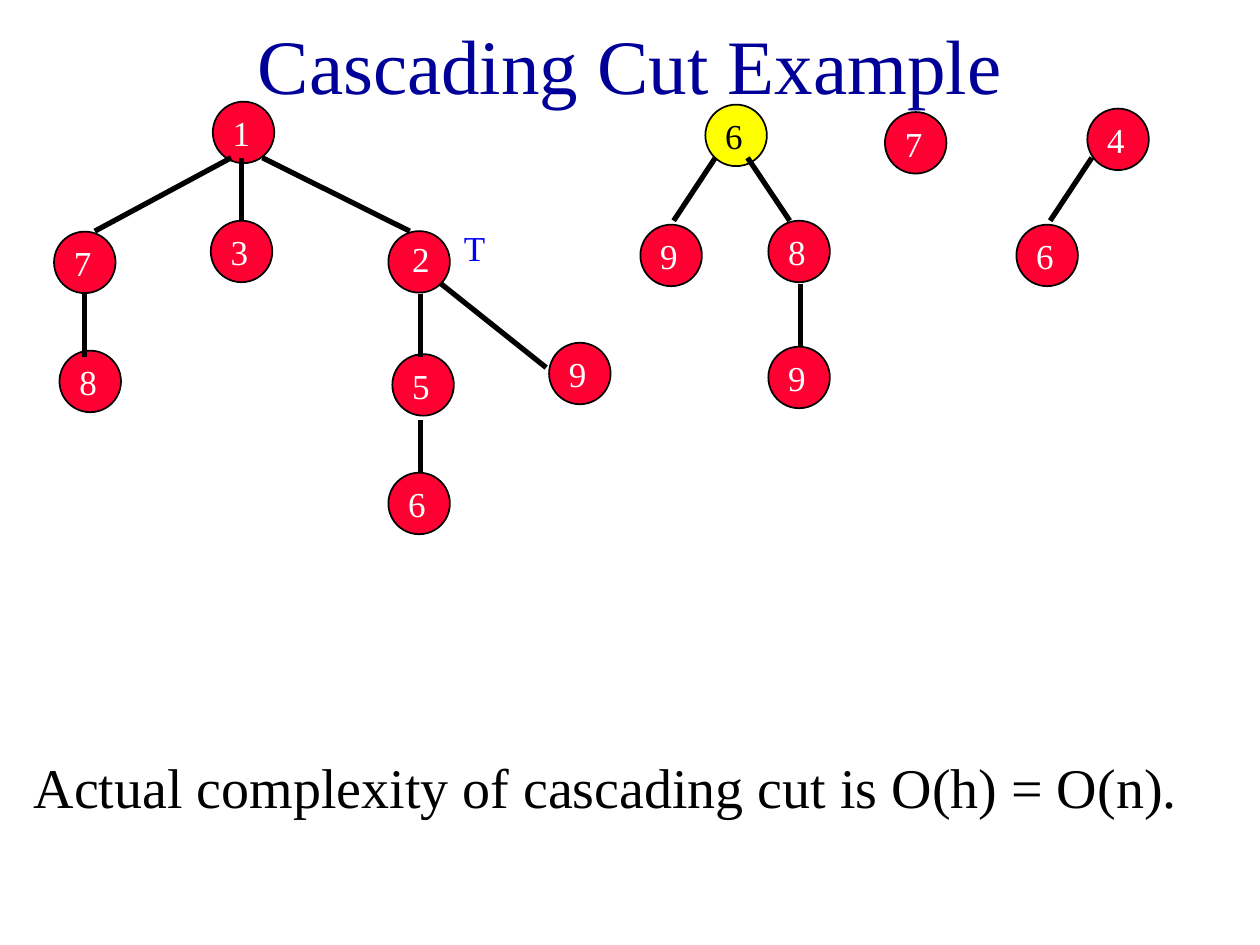
"""Build the slide with the heap trees of the cascading cut example."""
from dataclasses import dataclass

from lxml.etree import SubElement
from pptx import Presentation
from pptx.dml.color import RGBColor
from pptx.enum.shapes import MSO_CONNECTOR, MSO_SHAPE
from pptx.enum.text import MSO_ANCHOR, MSO_AUTO_SIZE, PP_ALIGN
from pptx.oxml.ns import qn
from pptx.shapes.autoshape import Shape
from pptx.slide import Slide
from pptx.text.text import TextFrame
from pptx.util import Cm, Pt

NAVY = RGBColor(0x00, 0x00, 0x99)
BLUE = RGBColor(0x00, 0x00, 0xFF)
RED = RGBColor(0xFF, 0x00, 0x33)
YELLOW = RGBColor(0xFF, 0xFF, 0x00)
BLACK = RGBColor(0x00, 0x00, 0x00)
WHITE = RGBColor(0xFF, 0xFF, 0xFF)
FONT = "Times New Roman"
NODE_DIAMETER = 1.24


@dataclass(frozen=True)
class Node:
    """A heap node with its key; lengths are in centimetres."""
    key: str
    left: float
    top: float
    fill: RGBColor = RED
    color: RGBColor = WHITE
    key_dx: float = 0.15
    key_dy: float = 0.08


@dataclass(frozen=True)
class Edge:
    """A link from parent to child; lengths are in centimetres."""
    x1: float
    y1: float
    x2: float
    y2: float


NODES = (
    Node("1", 4.29, 2.05),
    Node("7", 1.09, 4.67),
    Node("3", 4.25, 4.45),
    Node("8", 1.2, 7.07),
    Node("2", 7.83, 4.66, key_dx=0.23, key_dy=0),
    Node("5", 7.91, 7.14),
    Node("9", 11.07, 6.91),
    Node("6", 7.83, 9.53),
    Node("4", 21.92, 2.19),
    Node("6", 20.49, 4.53),
    Node("7", 17.84, 2.26),
    Node("6", 14.22, 2.11, YELLOW, BLACK),
    Node("9", 12.91, 4.53),
    Node("8", 15.49, 4.45),
    Node("9", 15.49, 6.99),
)

EDGES = (
    Edge(4.66, 3.18, 1.91, 4.66),
    Edge(4.87, 3.18, 4.87, 4.45),
    Edge(5.29, 3.18, 8.26, 4.66),
    Edge(1.7, 5.93, 1.7, 7.2),
    Edge(8.47, 5.93, 8.47, 7.2),
    Edge(8.89, 5.72, 11.01, 7.41),
    Edge(8.47, 8.47, 8.47, 9.53),
    Edge(14.42, 3.18, 13.58, 4.45),
    Edge(15.07, 3.18, 15.92, 4.45),
    Edge(16.13, 5.72, 16.13, 6.99),
    Edge(22.01, 3.18, 21.17, 4.45),
)


def write(frame: TextFrame, text: str, size: float, color: RGBColor) -> None:
    """Put one formatted run into the first paragraph."""
    run = frame.paragraphs[0].add_run()
    run.text = text
    run.font.name = FONT
    run.font.size = Pt(size)
    run.font.color.rgb = color


def add_label(slide: Slide, text: str, left: float, top: float, width: float,
              height: float, size: float, color: RGBColor, wrap: bool) -> Shape:
    """Add a text box that grows with its text."""
    label = slide.shapes.add_textbox(Cm(left), Cm(top), Cm(width), Cm(height))
    label.text_frame.word_wrap = wrap
    label.text_frame.auto_size = MSO_AUTO_SIZE.SHAPE_TO_FIT_TEXT
    write(label.text_frame, text, size, color)
    return label


def add_node(slide: Slide, node: Node) -> None:
    """Draw a node's circle and its key."""
    circle = slide.shapes.add_shape(
        MSO_SHAPE.OVAL, Cm(node.left), Cm(node.top), Cm(NODE_DIAMETER), Cm(NODE_DIAMETER))
    circle.shadow.inherit = False
    circle.fill.solid()
    circle.fill.fore_color.rgb = node.fill
    circle.line.color.rgb = BLACK
    circle.line.width = Pt(1)
    add_label(slide, node.key, node.left + node.key_dx, node.top + node.key_dy,
              0.86, 1.09, 20, node.color, False)


def add_edge(slide: Slide, edge: Edge) -> None:
    """Draw the line between two nodes."""
    link = slide.shapes.add_connector(
        MSO_CONNECTOR.STRAIGHT, Cm(edge.x1), Cm(edge.y1), Cm(edge.x2), Cm(edge.y2))
    link.line.color.rgb = BLACK
    link.line.width = Pt(3)
    SubElement(link._element.spPr, qn("a:effectLst"))


def add_title(slide: Slide, text: str) -> None:
    """Place and format the title placeholder."""
    title = slide.shapes.title
    title.left, title.top, title.width, title.height = Cm(1.91), Cm(0.43), Cm(21.59), Cm(1.7)
    title.text_frame.auto_size = MSO_AUTO_SIZE.NONE
    title.text_frame.vertical_anchor = MSO_ANCHOR.MIDDLE
    title.text_frame.paragraphs[0].alignment = PP_ALIGN.CENTER
    write(title.text_frame, text, 44, NAVY)


def main() -> None:
    """Assemble and save the slide."""
    deck = Presentation()
    deck.slide_width, deck.slide_height = Cm(25.4), Cm(19.05)
    slide = deck.slides.add_slide(deck.slide_layouts.get_by_name("Title Only"))
    add_title(slide, "Cascading Cut Example")
    for node in NODES:
        add_node(slide, node)
    for edge in EDGES:
        add_edge(slide, edge)
    add_label(slide, "T", 9.1, 4.45, 0.84, 1.11, 20, BLUE, True)
    complexity = add_label(slide, "Actual complexity of cascading cut is O(h) = O(n).",
                           0.43, 15.04, 24.56, 1.63, 32, BLACK, True)
    complexity.fill.solid()
    complexity.fill.fore_color.rgb = WHITE
    deck.save("out.pptx")


if __name__ == "__main__":
    main()
